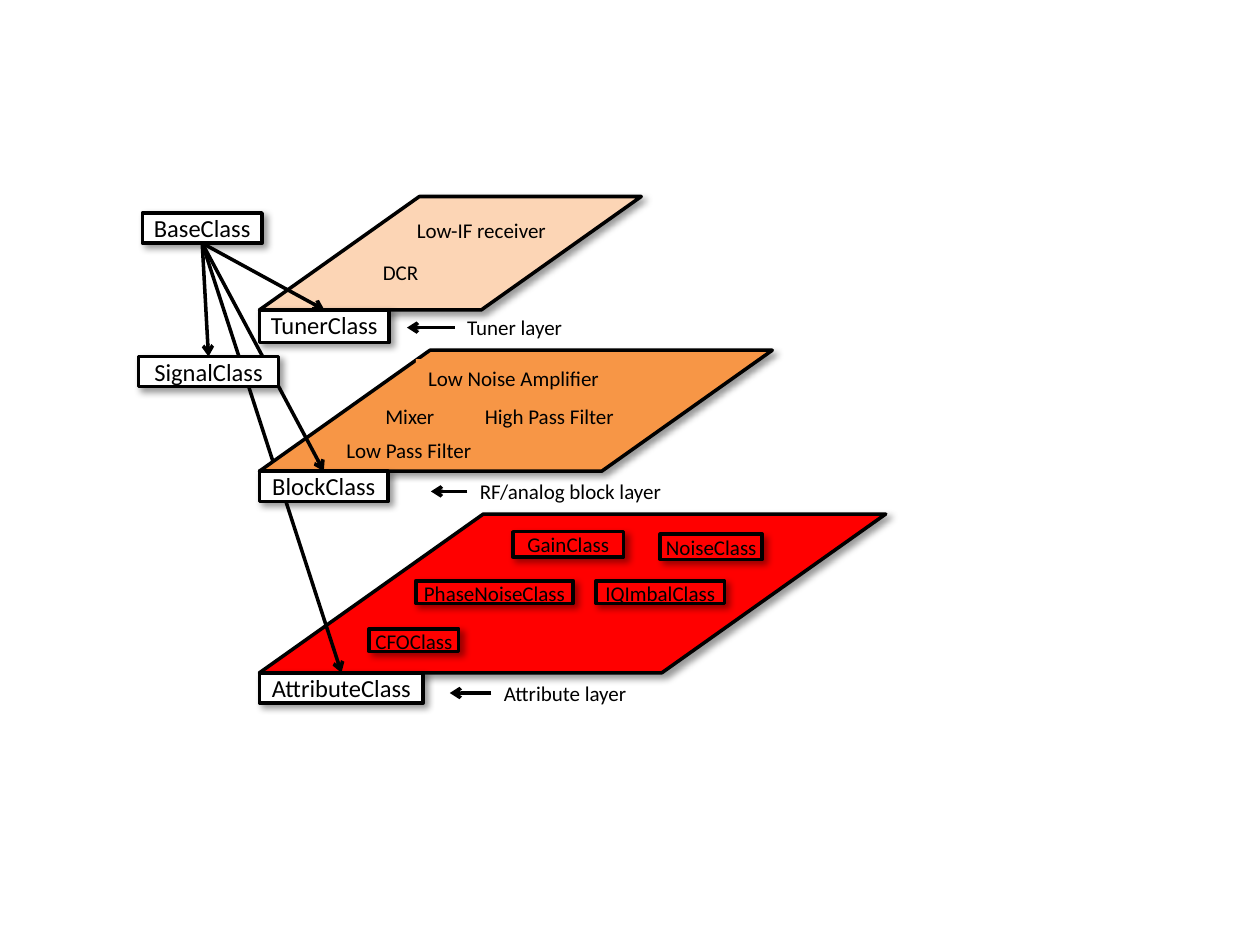
from lxml import etree
from pptx import Presentation
from pptx.dml.color import RGBColor
from pptx.enum.shapes import MSO_CONNECTOR, MSO_SHAPE
from pptx.enum.text import MSO_ANCHOR, PP_ALIGN
from pptx.oxml.ns import qn
from pptx.util import Inches, Pt

BLACK, WHITE = "000000", "FFFFFF"
PEACH, ORANGE, RED = "FCD5B5", "F79646", "FF0000"
LAYER_LEFT = 2.06
TOP, BOTTOM = 0, 2


def rgb(color):
    return RGBColor.from_string(color)


def add_shadow(shape):
    """Cast a soft shadow to the lower right."""
    shape.shadow.inherit = False
    effects = shape._element.spPr.find(qn("a:effectLst"))
    shadow = etree.SubElement(
        effects, qn("a:outerShdw"), blurRad=str(Pt(4)), dist=str(Pt(3)),
        dir=str(45 * 60000), algn="tl", rotWithShape="0")
    shade = etree.SubElement(shadow, qn("a:srgbClr"), val=BLACK)
    etree.SubElement(shade, qn("a:alpha"), val="40000")


def add_outlined(slide, kind, box, fill):
    shape = slide.shapes.add_shape(kind, *map(Inches, box))
    shape.fill.solid()
    shape.fill.fore_color.rgb = rgb(fill)
    shape.line.color.rgb = rgb(BLACK)
    shape.line.width = Pt(2)
    add_shadow(shape)
    return shape


def write(shape, text, size, align):
    frame = shape.text_frame
    frame.word_wrap = True
    frame.vertical_anchor = MSO_ANCHOR.TOP
    paragraph = frame.paragraphs[0]
    paragraph.alignment = align
    run = paragraph.add_run()
    run.text = text
    run.font.name = "Calibri"
    run.font.size = Pt(size)
    run.font.color.rgb = rgb(BLACK)


def add_class_box(slide, name, box, fill=WHITE, size=14):
    shape = add_outlined(slide, MSO_SHAPE.RECTANGLE, box, fill)
    frame = shape.text_frame
    frame.margin_left = frame.margin_right = 0
    frame.margin_top = frame.margin_bottom = 0
    write(shape, name, size, PP_ALIGN.CENTER)
    return shape


def add_label(slide, text, box, fill=None):
    label = slide.shapes.add_textbox(*map(Inches, box))
    if fill:
        label.fill.solid()
        label.fill.fore_color.rgb = rgb(fill)
    write(label, text, 12, PP_ALIGN.LEFT)


def add_arrow(slide, start=(0, 0), end=(0, 0)):
    arrow = slide.shapes.add_connector(
        MSO_CONNECTOR.STRAIGHT, *map(Inches, (*start, *end)))
    arrow.line.color.rgb = rgb(BLACK)
    arrow.line.width = Pt(2)
    etree.SubElement(arrow.line._get_or_add_ln(), qn("a:tailEnd"), type="arrow")
    etree.SubElement(arrow._element.spPr, qn("a:effectLst"))
    return arrow


def add_inheritance(slide, base, derived):
    arrow = add_arrow(slide)
    arrow.begin_connect(base, BOTTOM)
    arrow.end_connect(derived, TOP)


def add_layer(slide, base, box, fill, class_name, class_size):
    """Draw a slanted layer with its class box at the lower left corner."""
    left, top, _, height = box
    plane = add_outlined(slide, MSO_SHAPE.PARALLELOGRAM, box, fill)
    plane.adjustments[0] = 1.41
    class_box = add_class_box(
        slide, class_name, (left, top + height, *class_size))
    add_inheritance(slide, base, class_box)


def add_layer_caption(slide, text, box, arrow_length):
    """Place a caption with an arrow pointing left from its edge."""
    left, top, _, height = box
    add_label(slide, text, box)
    middle = top + height / 2
    add_arrow(slide, (left, middle), (left - arrow_length, middle))


def add_attribute_layer(slide, base):
    add_layer(slide, base, (LAYER_LEFT, 4.08, 4.97, 1.26), RED,
              "AttributeClass", (1.3, 0.24))
    for name, box in (
        ("GainClass", (4.07, 4.22, 0.88, 0.2)),
        ("NoiseClass", (5.24, 4.24, 0.81, 0.2)),
        ("PhaseNoiseClass", (3.3, 4.61, 1.25, 0.18)),
        ("IQImbalClass", (4.73, 4.61, 1.02, 0.18)),
        ("CFOClass", (2.93, 4.99, 0.71, 0.18)),
    ):
        add_class_box(slide, name, box, RED, 12)
    add_layer_caption(slide, "Attribute layer", (3.9, 5.35, 1.85, 0.3), 0.33)


def add_tuner_layer(slide, base):
    add_layer(slide, base, (LAYER_LEFT, 1.56, 3.03, 0.9), PEACH,
              "TunerClass", (1.03, 0.26))
    add_label(slide, "Low-IF receiver", (3.21, 1.68, 1.25, 0.27), PEACH)
    add_label(slide, "DCR", (2.94, 2.01, 0.72, 0.27), PEACH)
    add_layer_caption(slide, "Tuner layer", (3.61, 2.45, 1.56, 0.3), 0.38)


def add_block_layer(slide, base):
    add_layer(slide, base, (LAYER_LEFT, 2.78, 4.07, 0.96), ORANGE,
              "BlockClass", (1.02, 0.24))
    for text, left, top, width in (
        ("Low Noise Amplifier", 3.3, 2.85, 1.63),
        ("Mixer", 2.96, 3.15, 0.71),
        ("High Pass Filter", 3.75, 3.15, 1.28),
        ("Low Pass Filter", 2.65, 3.42, 1.28),
    ):
        add_label(slide, text, (left, top, width, 0.27), ORANGE)
    add_layer_caption(slide, "RF/analog block layer", (3.71, 3.75, 2.2, 0.3), 0.29)


def main():
    deck = Presentation()
    deck.slide_width, deck.slide_height = Inches(10), Inches(7.5)
    slide = deck.slides.add_slide(deck.slide_layouts[6])
    base = add_class_box(slide, "BaseClass", (1.13, 1.69, 0.95, 0.24))
    add_attribute_layer(slide, base)
    add_tuner_layer(slide, base)
    add_block_layer(slide, base)
    signal = add_class_box(slide, "SignalClass", (1.1, 2.83, 1.11, 0.24))
    add_inheritance(slide, base, signal)
    deck.save("out.pptx")


if __name__ == "__main__":
    main()
